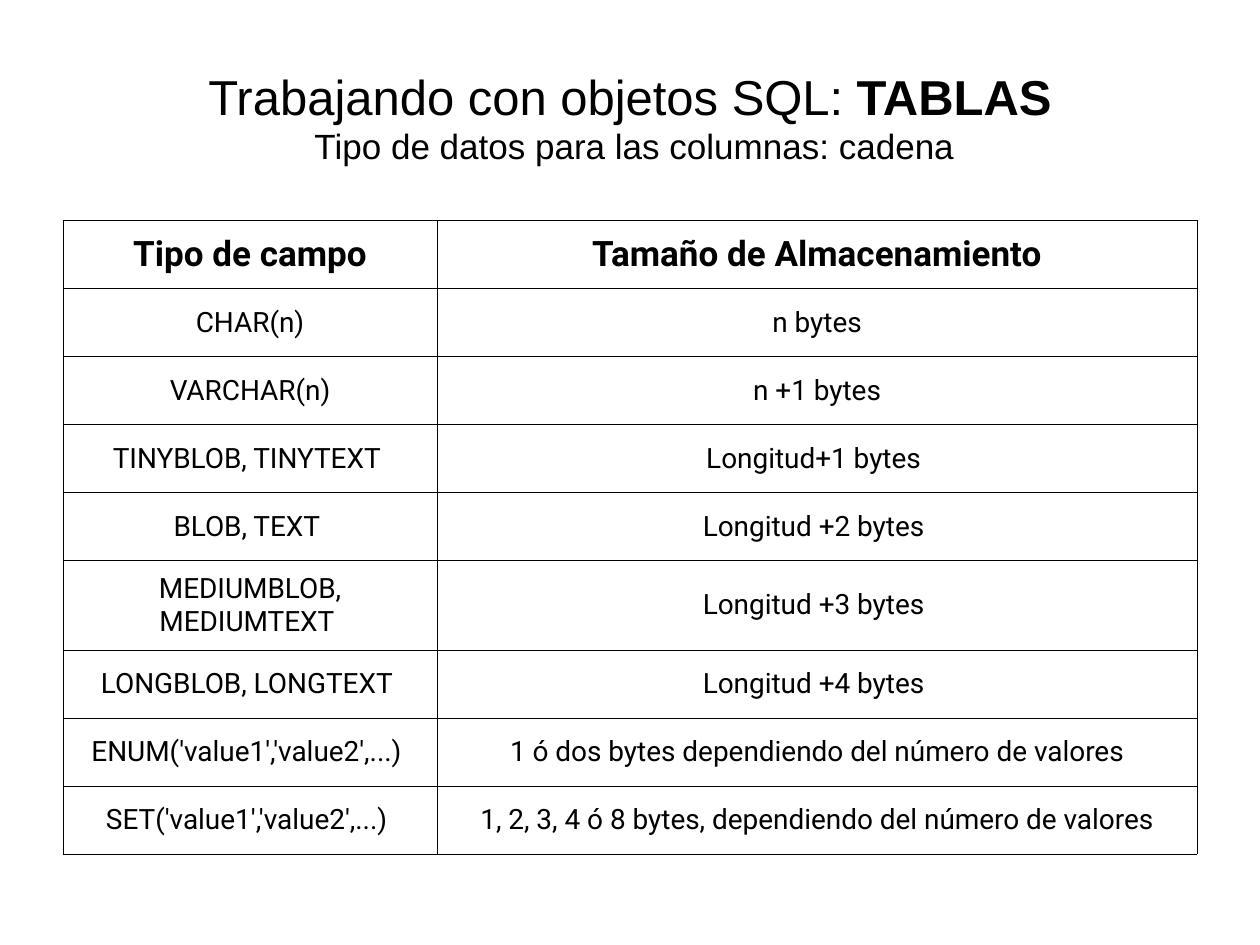
from lxml import etree
from pptx import Presentation
from pptx import util as u
from pptx.dml.color import RGBColor
from pptx.enum import text
from pptx.oxml.ns import qn

THEME = {
    "ink": "000000",
    "title": {"name": "Arial", "size": u.Pt(28), "bold": False},
    "title_strong": {"name": "Arial", "size": u.Pt(28), "bold": True},
    "subtitle": {"name": "Arial", "size": u.Pt(20), "bold": False},
    "header": {"name": "Roboto", "size": u.Pt(20), "bold": True},
    "body": {"name": "Roboto", "size": u.Pt(16), "bold": False},
    "border": u.Pt(0.45),
}

# The space that ends some entries counts in their centring.
ROWS = [
    ("Tipo de campo", "Tamaño de Almacenamiento"),
    ("CHAR(n)", "n bytes"),
    ("VARCHAR(n)", "n +1 bytes"),
    ("TINYBLOB, TINYTEXT ", "Longitud+1 bytes "),
    ("BLOB, TEXT ", "Longitud +2 bytes "),
    ("MEDIUMBLOB, MEDIUMTEXT ", "Longitud +3 bytes "),
    ("LONGBLOB, LONGTEXT ", "Longitud +4 bytes "),
    ("ENUM('value1','value2',...) ", "1 ó dos bytes dependiendo del número de valores"),
    ("SET('value1','value2',...) ", "1, 2, 3, 4 ó 8 bytes, dependiendo del número de valores"),
]
COLUMN_WIDTHS = (2.97, 6.03)
ROW_HEIGHT, TWO_LINE_HEIGHT = 0.54, 0.71
TWO_LINE_ROW = 5


def add_span(para, words, style):
    span = para.add_run()
    span.text = words
    for name, value in THEME[style].items():
        setattr(span.font, name, value)
    span.font.color.rgb = RGBColor.from_string(THEME["ink"])


def add_borders(cell):
    """Draw a thin line on all four sides; call before setting the cell's fill."""
    properties = cell._tc.get_or_add_tcPr()
    for side in ("a:lnL", "a:lnR", "a:lnT", "a:lnB"):
        line = etree.SubElement(properties, qn(side), w=str(THEME["border"]))
        fill = etree.SubElement(line, qn("a:solidFill"))
        etree.SubElement(fill, qn("a:srgbClr"), val=THEME["ink"])


deck = Presentation()
deck.slide_width, deck.slide_height = u.Inches(10), u.Inches(7.5)
page = deck.slides.add_slide(deck.slide_layouts[6])

# Title
title_box = page.shapes.add_textbox(u.Inches(0.5), u.Inches(0.3), u.Inches(9), u.Inches(1.25))
frame = title_box.text_frame
frame.word_wrap = True
frame.vertical_anchor = text.MSO_ANCHOR.MIDDLE
para = frame.paragraphs[0]
para.alignment = text.PP_ALIGN.CENTER
add_span(para, "Trabajando con objetos SQL: ", "title")
add_span(para, "TABLAS", "title_strong")
para.add_line_break()
add_span(para, " Tipo de datos para las columnas: cadena", "subtitle")

# Table of string types
table = page.shapes.add_table(
    len(ROWS), len(COLUMN_WIDTHS), u.Inches(0.5), u.Inches(1.75), u.Inches(9), u.Inches(5.03)
).table
table.first_row = table.horz_banding = False
for column, width in zip(table.columns, COLUMN_WIDTHS):
    column.width = u.Inches(width)

for r, entries in enumerate(ROWS):
    table.rows[r].height = u.Inches(TWO_LINE_HEIGHT if r == TWO_LINE_ROW else ROW_HEIGHT)
    for c, words in enumerate(entries):
        cell = table.cell(r, c)
        add_borders(cell)
        cell.fill.background()
        cell.vertical_anchor = text.MSO_ANCHOR.MIDDLE
        para = cell.text_frame.paragraphs[0]
        para.alignment = text.PP_ALIGN.CENTER
        add_span(para, words, "header" if r == 0 else "body")

deck.save("out.pptx")
